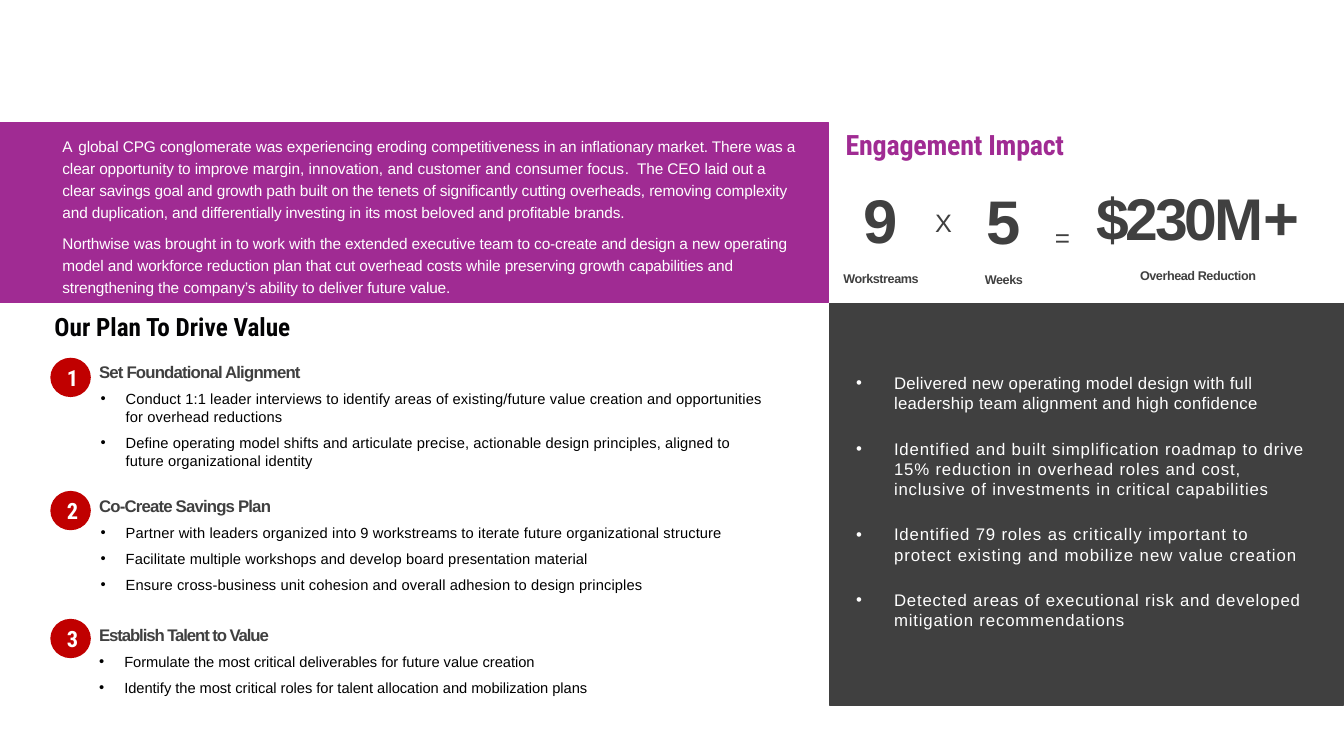
from pptx import Presentation
from pptx.dml.color import RGBColor
from pptx.enum.shapes import MSO_SHAPE
from pptx.enum.text import MSO_ANCHOR, MSO_AUTO_SIZE, PP_ALIGN
from pptx.oxml.ns import qn
from pptx.util import Pt
from lxml import etree

COLORS = {"purple": "A02B93", "gray": "404040", "red": "C00000",
          "white": "FFFFFF", "ink": "030304", "black": "000000"}

# Content: a paragraph is a list of (text, letter spacing in points) runs
CONTEXT = [
    [("A ", 0.8),
     ("global CPG conglomerate was experiencing eroding competitiveness in an inflationary market. "
      "There was a clear opportunity to improve ", -0.1),
     ("margin, innovation, and customer and consumer focus", 0),
     (".  The CEO laid out a clear savings goal and growth path built on the tenets of significantly "
      "cutting overheads, removing complexity and duplication, and differentially investing in its "
      "most beloved and profitable brands.", -0.1)],
    [("Northwise was brought in to work with the extended executive team to co-create and design a new "
      "operating model and workforce reduction plan that cut overhead costs while preserving growth "
      "capabilities and strengthening the company’s ability to deliver future value.", -0.1)],
]
RESULTS = [
    [("Delivered new operating model design with full leadership team alignment and high confidence", 0.2)],
    [("Identified and built simplification roadmap to drive 15% reduction in overhead roles and cost, "
      "inclusive of investments in critical capabilities", 0.6)],
    [("Identified 79 roles ", 0.6),
     ("as critically important to protect existing and mobilize new value creation", 0.7)],
    [("Detected areas of executional risk and developed mitigation recommendations", 0.6)],
]
# Number, its size, plus sign, label, box
METRICS = [
    ("9", 44, "", "Workstreams", (589.7, 97.2, 79.2, 107.3)),
    ("5", 44, "", "Weeks", (677.5, 97.9, 79.2, 107.3)),
    ("$230M", 42, "+", "Overhead Reduction", (779, 95.8, 153.4, 106.6)),
]
# Heading, heading spacing, circle top, heading top, width, bullet indent, bullet spacing, bullets
STEPS = [
    ("Set Foundational Alignment", -0.6, 256.3, 257.8, 481.7, 20, 0.1, [
        "Conduct 1:1 leader interviews to identify areas of existing/future value creation and "
        "opportunities for overhead reductions",
        "Define operating model shifts and articulate precise, actionable design principles, aligned "
        "to future organizational identity"]),
    ("Co-Create Savings Plan", -0.6, 351.4, 353.5, 461.5, 20, 0.1, [
        "Partner with leaders organized into 9 workstreams to iterate future organizational structure",
        "Facilitate multiple workshops and develop board presentation material",
        "Ensure cross-business unit cohesion and overall adhesion to design principles"]),
    ("Establish Talent to Value", -0.8, 442.8, 445.7, 461.5, 19, 0, [
        "Formulate the most critical deliverables for future value creation",
        "Identify the most critical roles for talent allocation and mobilization plans"]),
]
STEP_LEFT = 69.8
BULLET_DROP = 20.1

presentation = Presentation()
presentation.slide_width, presentation.slide_height = Pt(960), Pt(540)
slide = presentation.slides.add_slide(presentation.slide_layouts[6])


def color(name):
    return RGBColor.from_string(COLORS[name])


def add_block(preset, box, fill, line_width=0.75):
    shape = slide.shapes.add_shape(preset, *map(Pt, box))
    shape.shadow.inherit = False
    shape.fill.solid()
    shape.fill.fore_color.rgb = color(fill)
    shape.line.color.rgb = color(fill)
    shape.line.width = Pt(line_width)
    return shape


def add_run(paragraph, text, spacing=0, ink="black", baseline=0, **font):
    run = paragraph.add_run()
    run.text = text
    for name, value in {"name": "Arial", **font}.items():
        setattr(run.font, name, value)
    run.font.color.rgb = color(ink)
    properties = run._r.get_or_add_rPr()
    properties.set("spc", str(round(spacing * 100)))
    if baseline:
        properties.set("baseline", str(baseline * 1000))


def set_indent(paragraph, left, hanging=0, bullet=False):
    properties = paragraph._p.get_or_add_pPr()
    properties.set("marL", str(Pt(left)))
    properties.set("indent", str(-Pt(hanging)))
    if bullet:
        etree.SubElement(properties, qn("a:buFont")).set("typeface", "Arial")
        etree.SubElement(properties, qn("a:buChar")).set("char", "•")


def add_frame(box, anchor=MSO_ANCHOR.TOP, top_inset=0.7, grow=True):
    frame = slide.shapes.add_textbox(*map(Pt, box)).text_frame
    settings = {"word_wrap": True, "vertical_anchor": anchor, "margin_left": 0, "margin_right": 0,
                "margin_top": Pt(top_inset), "margin_bottom": 0,
                "auto_size": MSO_AUTO_SIZE.SHAPE_TO_FIT_TEXT if grow else MSO_AUTO_SIZE.NONE}
    for name, value in settings.items():
        setattr(frame, name, value)
    return frame


def add_text(box, paragraphs, layout, left=0, hanging=0, bullet=False, frame_options=None, **font):
    frame = add_frame(box, **(frame_options or {}))
    for index, runs in enumerate(paragraphs):
        paragraph = frame.add_paragraph() if index else frame.paragraphs[0]
        set_indent(paragraph, left, hanging, bullet)
        for name, value in layout.items():
            setattr(paragraph, name, value)
        for text, spacing in runs:
            add_run(paragraph, text, spacing, **font)


# Context band
add_block(MSO_SHAPE.RECTANGLE, (0, 87.8, 591.8, 128.2), "purple")
add_text((43.9, 94.3, 527.8, 117.4), CONTEXT, {"line_spacing": 1.2, "space_after": Pt(6)},
         left=0.7, size=Pt(11), ink="white")

# Engagement impact: title, metrics and operators
add_text((604.1, 90.2, 350, 25.2), [[("Engagement Impact", -0.2)]], {},
         name="Roboto Condensed", size=Pt(20), bold=True, ink="purple")
for number, size, sign, label, box in METRICS:
    frame = add_frame(box, MSO_ANCHOR.BOTTOM, 0, False)
    value_line, label_line = frame.paragraphs[0], frame.add_paragraph()
    value_line.alignment = label_line.alignment = PP_ALIGN.CENTER
    value_line.line_spacing = Pt(42.8)
    label_line.line_spacing = label_line.space_before = Pt(10.8)
    add_run(value_line, number, -2.2, "gray", size=Pt(size), bold=True)
    if sign:
        add_run(value_line, sign, -2.2, "gray", size=Pt(44), bold=True)
    add_run(label_line, label, -0.3, "gray", size=Pt(9), bold=True)
centered = {"alignment": PP_ALIGN.CENTER}
add_text((657.4, 136.1, 33.1, 44.6), [[("X", 0.9)]], centered, size=Pt(18), ink="gray",
         frame_options={"anchor": MSO_ANCHOR.MIDDLE, "grow": False})
add_text((742.3, 143.3, 33.1, 26.6), [[("=", 0.9)]], centered, size=Pt(32), ink="gray", baseline=-3)

# Results panel
add_block(MSO_SHAPE.RECTANGLE, (592.5, 216.6, 367.5, 287), "gray")
add_text((610.6, 265.7, 321.8, 186.5), RESULTS, {"space_after": Pt(18)},
         left=28, hanging=27, bullet=True, size=Pt(12), ink="white")

# Plan: title and numbered steps
add_text((38.2, 218.2, 508.3, 26.6), [[("Our Plan To Drive Value", 0)]], {}, left=0.7,
         name="Roboto Condensed", size=Pt(18), bold=True, ink="ink", frame_options={"top_inset": 4.5})
for number, step in enumerate(STEPS, 1):
    heading, heading_spacing, circle_top, top, width, indent, spacing, bullets = step
    circle = add_block(MSO_SHAPE.OVAL, (36.7, circle_top, 27.4, 26.6), "red", 1.5)
    circle.text_frame.vertical_anchor = MSO_ANCHOR.MIDDLE
    paragraph = circle.text_frame.paragraphs[0]
    paragraph.alignment = PP_ALIGN.CENTER
    add_run(paragraph, str(number), ink="white", name="Roboto Condensed", size=Pt(16), bold=True)
    add_text((STEP_LEFT, top, width, 15.8), [[(heading, heading_spacing)]], {}, left=1,
             size=Pt(12), bold=True, ink="gray")
    add_text((STEP_LEFT, top + BULLET_DROP, width, 25.5 * len(bullets)),
             [[(text, spacing)] for text in bullets], {"space_after": Pt(6)},
             left=indent, hanging=18, bullet=True, size=Pt(10.5))

presentation.save("out.pptx")
